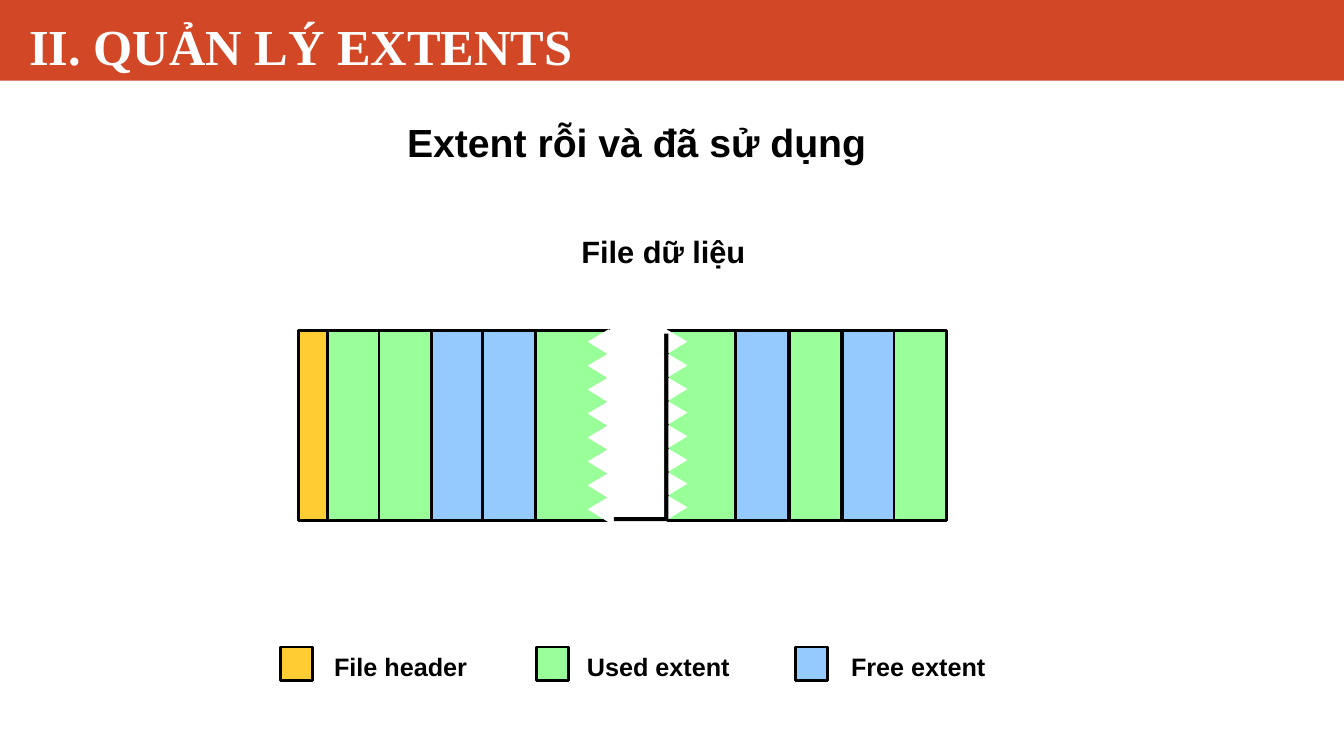
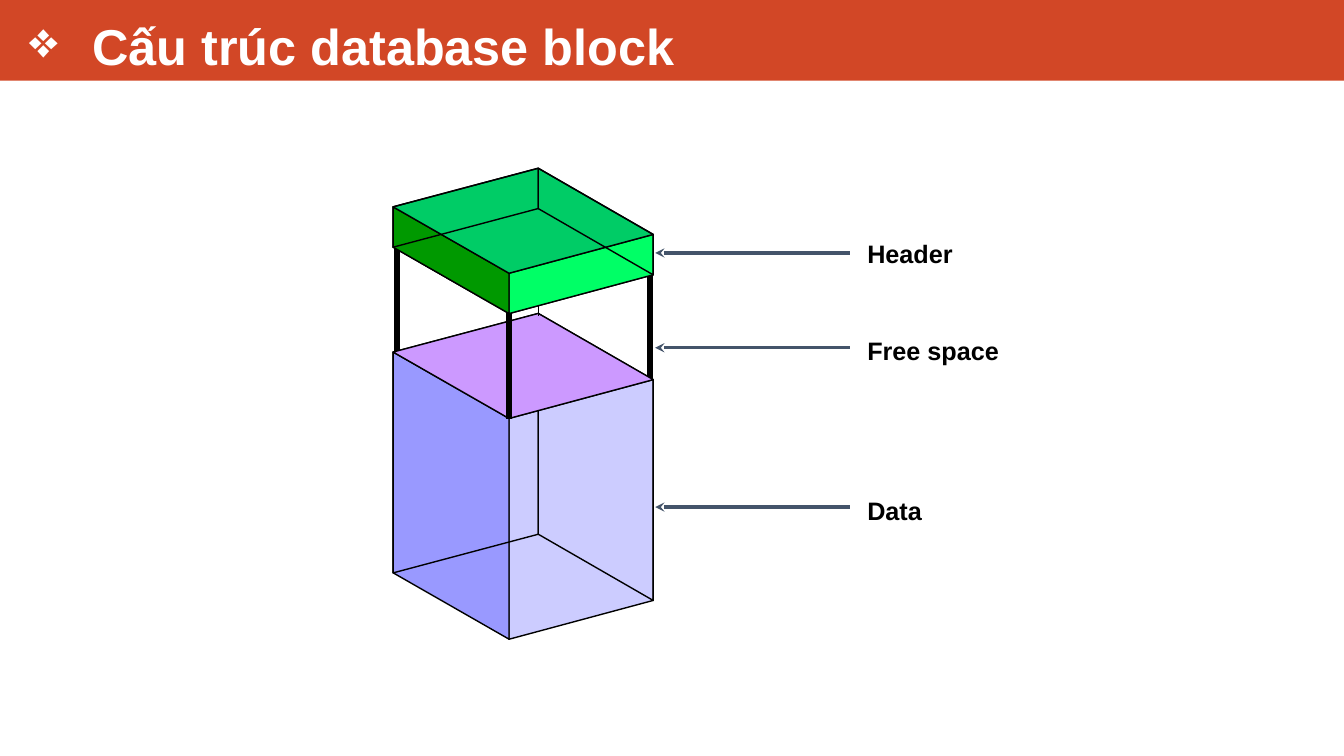
from lxml.etree import SubElement
from pptx import Presentation
from pptx.dml.color import RGBColor as RGB
from pptx.enum.shapes import MSO_CONNECTOR as CONN, MSO_SHAPE as SHAPE
from pptx.enum.text import MSO_ANCHOR as ANCHOR, MSO_AUTO_SIZE as FIT, PP_ALIGN as ALIGN
from pptx.oxml.ns import qn
from pptx.util import Pt

COLORS = {
    "band": "D24726", "white": "FFFFFF", "black": "000000", "arrow": "44546A",
    "header": "FFCC33", "used": "99FF99", "free": "95CAFF",
    "data_right": "CCCCFF", "data_left": "9999FF", "data_top": "CC99FF",
    "head_base": "FFFF66", "head_right": "00FF66", "head_left": "009900", "head_top": "00CC66",
}


def rgb(name):
    return RGB.from_string(COLORS[name])


class Deck:
    def __init__(self):
        self.prs = Presentation()
        self.prs.slide_width, self.prs.slide_height = Pt(960), Pt(540)
        self.layout = self.prs.slide_layouts[5]
        self.s = self.shapes = None

    def slide(self, title, font, bullet=None):
        first = self.s is None
        self.s = self.prs.slides.add_slide(self.layout)
        self.shapes = self.s.shapes
        if first:
            band = self.rect(0, 0, 960, 57.6, "band")
            self.prs.slide_master.shapes.element.insert(2, band._element)
        sp = self.s.shapes.title
        sp.left, sp.top, sp.width, sp.height = Pt(13.7), Pt(0), Pt(931.7), Pt(57.6)
        tf = sp.text_frame
        tf.auto_size, tf.vertical_anchor = FIT.NONE, ANCHOR.BOTTOM
        p = self.run(tf, title, 36, "white", font, ALIGN.LEFT)
        if bullet:
            pPr = p._p.get_or_add_pPr()
            pPr.set("marL", str(Pt(45)))
            pPr.set("indent", str(-Pt(45)))
            SubElement(pPr, qn("a:buChar")).set("char", bullet)

    def run(self, tf, text, size, color="black", font="Arial", align=ALIGN.CENTER):
        p = tf.paragraphs[0]
        p.alignment = align
        r = p.add_run()
        r.text = text
        r.font.size, r.font.name, r.font.bold = Pt(size), font, True
        r.font.color.rgb = rgb(color)
        return p

    def text(self, x, y, w, h, text, size=18, inset=(6.5, 3.6), wrap=True, align=ALIGN.CENTER):
        sp = self.shapes.add_textbox(Pt(x), Pt(y), Pt(w), Pt(h))
        tf = sp.text_frame
        tf.word_wrap = wrap
        tf.margin_left = tf.margin_right = Pt(inset[0])
        tf.margin_top = tf.margin_bottom = Pt(inset[1])
        self.run(tf, text, size, align=align)

    def paint(self, sp, fill, line, width):
        sp.shadow.inherit = False
        if fill:
            sp.fill.solid()
            sp.fill.fore_color.rgb = rgb(fill)
        else:
            sp.fill.background()
        if line:
            sp.line.color.rgb = rgb(line)
            sp.line.width = Pt(width)
        else:
            sp.line.fill.background()
        return sp

    def rect(self, x, y, w, h, fill, line=None, width=2):
        sp = self.shapes.add_shape(SHAPE.RECTANGLE, Pt(x), Pt(y), Pt(w), Pt(h))
        return self.paint(sp, fill, line, width)

    def polygon(self, points, fill=None, line="black", width=1):
        pts = [(Pt(x), Pt(y)) for x, y in points]
        fb = self.shapes.build_freeform(*pts[0])
        fb.add_line_segments(pts[1:], close=True)
        return self.paint(fb.convert_to_shape(), fill, line, width)

    def line(self, x1, y1, x2, y2, color="black", width=4, head=None):
        c = self.shapes.add_connector(CONN.STRAIGHT, Pt(x1), Pt(y1), Pt(x2), Pt(y2))
        c.line.color.rgb = rgb(color)
        c.line.width = Pt(width)
        spPr = c._element.spPr
        if head:
            SubElement(spPr.find(qn("a:ln")), qn("a:headEnd")).set("type", head)
        SubElement(spPr, qn("a:effectLst"))

    def drop_shadow(self, sp, dist):
        effects = sp._element.spPr.find(qn("a:effectLst"))
        shadow = SubElement(effects, qn("a:outerShdw"), dist=str(Pt(dist)),
                            dir="2700000", algn="ctr", rotWithShape="0")
        SubElement(shadow, qn("a:srgbClr")).set("val", COLORS["black"])

    def group(self):
        self.shapes = self.s.shapes.add_group_shape().shapes

    def ungroup(self):
        self.shapes = self.s.shapes


def torn_edge(d, base, tip, strip, step):
    d.group()
    for i in range(8):
        y = 235.6 + i * step
        d.rect(strip, y + 0.4, 4.3, step, "white", "white", 0.75)
        d.polygon([(base, y + step + 0.3), (tip, y + step / 2), (base, y)],
                  "white", "white", 0.75)
    d.ungroup()


def extents_slide(d):
    d.slide("II. QUẢN LÝ EXTENTS", "Times New Roman")
    d.text(166.7, 84, 576, 69, "Extent rỗi và đã sử dụng", 28, (0.7, 0.7))
    d.text(408.2, 162.7, 132.5, 33.8, "File dữ liệu", 22, (7.2, 3.6), False, ALIGN.LEFT)

    top, height = 236.2, 135.4

    def extents(blocks):
        for x, w, kind in blocks:
            d.rect(x, top, w, height, kind, "black")

    extents([(476.6, 49.7, "used"), (381.6, 54, "used"),
             (233.3, 37.4, "used"), (213.1, 20.9, "header")])
    torn_edge(d, 434.9, 420.5, 434.9, 17.1)
    torn_edge(d, 475.9, 490.3, 471.6, 16.9)

    legend = [("File header", "header", 200.2, 226.1, 120.2),
              ("Used extent", "used", 383, 406.1, 128.2),
              ("Free extent", "free", 568.1, 595.4, 121)]
    for label, kind, box_x, label_x, w in legend:
        d.text(label_x, 461.5, w, 28, label)
        d.rect(box_x, 462.2, 23, 23.8, kind, "black")

    gap = d.rect(435.6, 235.4, 38.9, 133.9, "white")
    d.drop_shadow(gap, 4.2)
    extents((x, 37.4, kind) for x, kind in [
        (344.9, "free"), (307.4, "free"), (270.7, "used"), (525.6, "free"),
        (563.8, "used"), (601.9, "free"), (638.6, "used")])


def block_slide(d):
    d.slide("Cấu trúc database block", "Arial", "❖")
    for label, y, w, arrow_y in [("Header", 167, 76, 180.7),
                                 ("Free space", 236.2, 109, 248.4),
                                 ("Data", 350.6, 54, 362.2)]:
        d.text(612, y, w, 28, label)
        d.line(468, arrow_y, 607, arrow_y, "arrow", 2.25, "stealth")

    corners = {"back": (384.5, 0), "right": (466.6, 47.3),
               "front": (363.6, 75), "left": (280.8, 27.6)}
    head_top, head_base, data_top, data_base = 120.2, 149, 223.9, 381.6

    def corner(name, level):
        x, dy = corners[name]
        return x, level + dy

    def side(a, b, top, base, fill=None):
        d.polygon([corner(a, top), corner(a, base), corner(b, base), corner(b, top)], fill)

    def plane(level, fill):
        d.polygon([corner(name, level) for name in corners], fill)

    d.group()
    d.line(283.7, 175, 283.7, 252.7)
    d.line(464.4, 196.6, 464.4, 271.4)
    side("right", "front", data_top, data_base, "data_right")
    side("left", "front", data_top, data_base, "data_left")
    side("back", "right", data_top, data_base)
    side("back", "left", data_top, data_base)
    plane(data_top, "data_top")
    d.line(363.6, 222.5, 363.6, 299.5)
    d.line(384.5, 171.4, 384.5, 225.4, width=1)
    plane(head_base, "head_base")
    side("right", "front", head_top, head_base, "head_right")
    side("left", "front", head_top, head_base, "head_left")
    plane(head_top, "head_top")
    side("back", "right", head_top, head_base)
    side("back", "left", head_top, head_base)
    d.ungroup()


def main():
    d = Deck()
    extents_slide(d)
    block_slide(d)
    d.prs.save("out.pptx")


if __name__ == "__main__":
    main()
